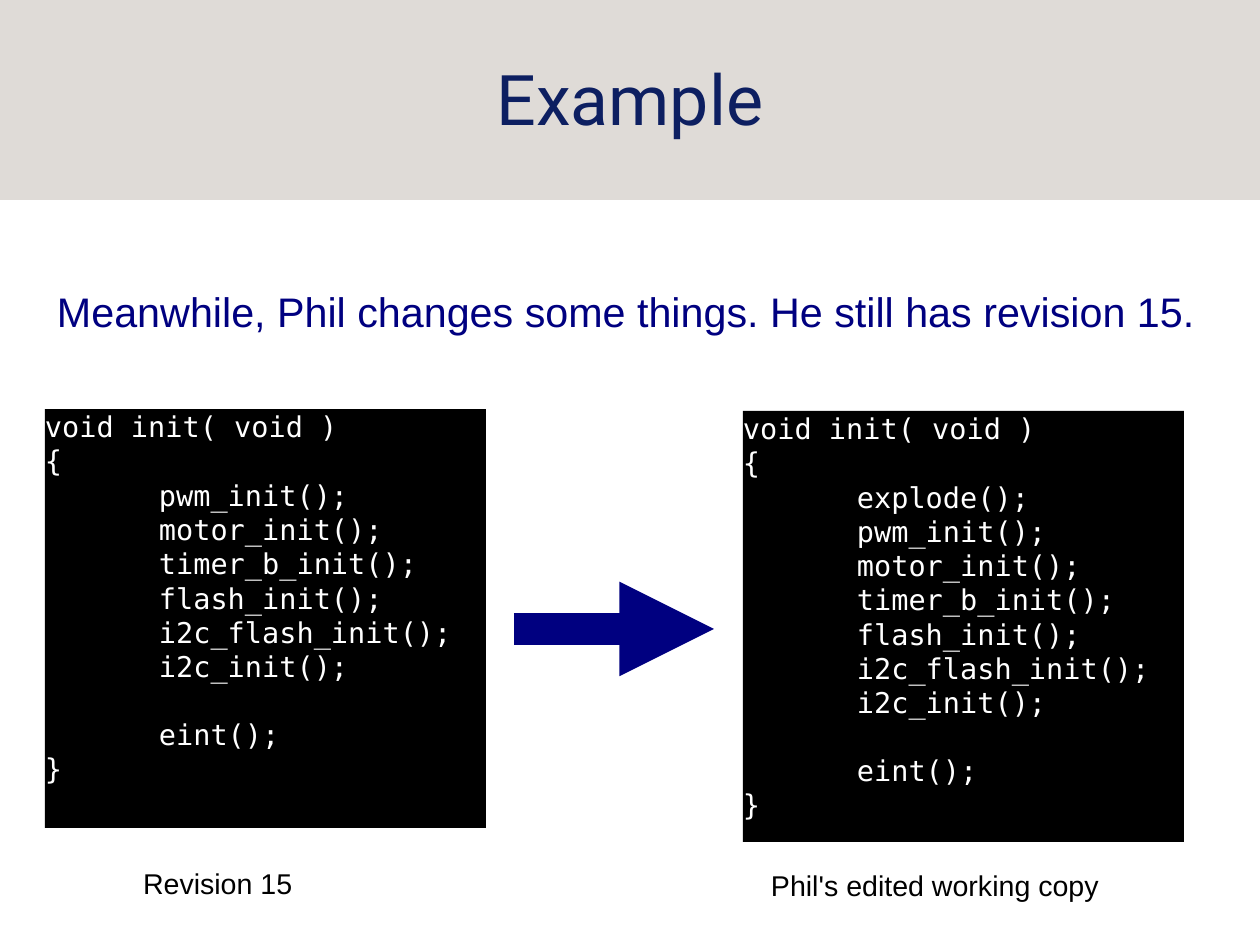
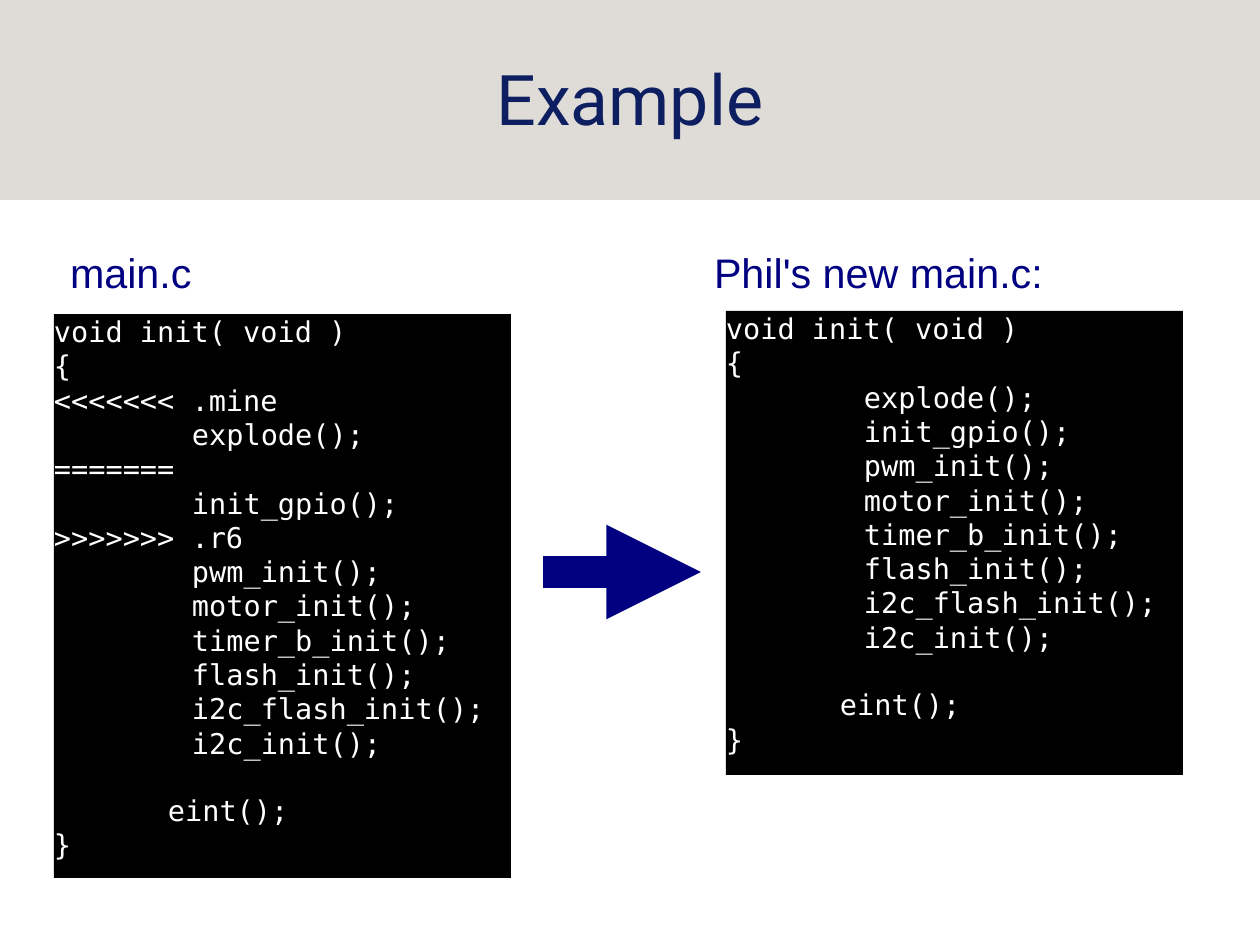
from pptx import Presentation
from pptx.dml.color import RGBColor
from pptx.enum.shapes import MSO_CONNECTOR, MSO_SHAPE
from pptx.enum.text import MSO_ANCHOR, MSO_AUTO_SIZE, PP_ALIGN
from pptx.oxml.ns import qn
from pptx.util import Pt
from lxml import etree

RECTANGLE = MSO_SHAPE.RECTANGLE
STRAIGHT = MSO_CONNECTOR.STRAIGHT
TOP, MIDDLE = MSO_ANCHOR.TOP, MSO_ANCHOR.MIDDLE
LEFT, CENTER = PP_ALIGN.LEFT, PP_ALIGN.CENTER
NO_AUTOFIT = MSO_AUTO_SIZE.NONE

EMU_PER_PX = 8000
SLIDE_WIDTH, SLIDE_HEIGHT = 1260, 945
BAND_HEIGHT = 200
TITLE_BOX = (63, 0, 1134, 195)
TITLE_ONLY = 5

BAND_GREY = RGBColor(0xDF, 0xDB, 0xD7)
TITLE_BLUE = RGBColor(0x0D, 0x1F, 0x61)
NAVY = RGBColor(0x00, 0x00, 0x80)
BLACK = RGBColor(0x00, 0x00, 0x00)
WHITE = RGBColor(0xFF, 0xFF, 0xFF)

TITLE_FONT, TEXT_FONT, CODE_FONT = "Roboto", "Arial", "DejaVu Sans Mono"
TITLE_SIZE, HEADING_SIZE, BODY_SIZE = 44, 26, 18
ARROW_WIDTH = 19.84
CODE_LINE_GAP = 21
TAB_INDENT = 114
SPACES_INDENT = 138

INIT_CALLS = [
    "pwm_init();",
    "motor_init();",
    "timer_b_init();",
    "flash_init();",
    "i2c_flash_init();",
    "i2c_init();",
]


def px(length):
    return length * EMU_PER_PX


def scaled(box):
    return [px(length) for length in box]


def prepare_frame(shape, anchor=TOP):
    """Give the text frame no margins and return it."""
    frame = shape.text_frame
    frame.margin_left = frame.margin_top = 0
    frame.margin_right = frame.margin_bottom = 0
    frame.word_wrap = True
    frame.auto_size = NO_AUTOFIT
    frame.vertical_anchor = anchor
    return frame


def add_run(paragraph, text, font_name, size, color, alignment=LEFT):
    paragraph.alignment = alignment
    run = paragraph.add_run()
    run.text = text
    run.font.name = font_name
    run.font.size = Pt(size)
    run.font.color.rgb = color


def add_rectangle(slide, box, color):
    shape = slide.shapes.add_shape(RECTANGLE, *scaled(box))
    shape.shadow.inherit = False
    shape.fill.solid()
    shape.fill.fore_color.rgb = color
    shape.line.fill.background()
    return shape


def add_band_to_layout(slide):
    """Draw the title band once, behind everything on the slide's layout."""
    band = add_rectangle(slide, (0, 0, SLIDE_WIDTH, BAND_HEIGHT), BAND_GREY)
    slide.slide_layout.shapes._spTree.insert(2, band._element)


def add_titled_slide(presentation, title):
    slide = presentation.slides.add_slide(presentation.slide_layouts[TITLE_ONLY])
    shape = slide.shapes.title
    shape.left, shape.top, shape.width, shape.height = scaled(TITLE_BOX)
    paragraph = prepare_frame(shape, MIDDLE).paragraphs[0]
    add_run(paragraph, title, TITLE_FONT, TITLE_SIZE, TITLE_BLUE, CENTER)
    return slide


def add_label(slide, box, text, size, color):
    shape = slide.shapes.add_textbox(*scaled(box))
    paragraph = prepare_frame(shape).paragraphs[0]
    add_run(paragraph, text, TEXT_FONT, size, color)


def add_heading(slide, left, top, width, text):
    add_label(slide, (left, top, width, 52), text, HEADING_SIZE, NAVY)


def add_caption(slide, left, top, text):
    add_label(slide, (left, top, 400, 36), text, BODY_SIZE, BLACK)


def add_code_panel(slide, box, body, indent):
    """Show init() with the given body; calls are indented, markers are not."""
    frame = prepare_frame(add_rectangle(slide, box, BLACK))
    lines = [("void init( void )", 0), ("{", 0)]
    lines += [(line, indent if line.endswith(";") else 0) for line in body]
    lines += [("eint();", TAB_INDENT), ("}", 0)]
    for index, (line, margin) in enumerate(lines):
        paragraph = frame.add_paragraph() if index else frame.paragraphs[0]
        add_run(paragraph, line, CODE_FONT, BODY_SIZE, WHITE)
        paragraph._p.get_or_add_pPr().set("marL", str(px(margin)))
        if line == "eint();":
            paragraph.space_before = Pt(CODE_LINE_GAP)


def add_arrow(slide, left, right, y):
    arrow = slide.shapes.add_connector(STRAIGHT, *scaled((left, y, right, y)))
    arrow.line.color.rgb = NAVY
    arrow.line.width = Pt(ARROW_WIDTH)
    etree.SubElement(arrow.line._get_or_add_ln(), qn("a:tailEnd"), type="triangle")
    etree.SubElement(arrow._element.spPr, qn("a:effectLst"))


def build_edit_slide(presentation):
    slide = add_titled_slide(presentation, "Example")
    add_heading(slide, 57, 286, 1180,
                "Meanwhile, Phil changes some things. He still has revision 15.")
    add_code_panel(slide, (45, 409, 441, 419), INIT_CALLS, TAB_INDENT)
    add_code_panel(slide, (743, 411, 441, 431), ["explode();"] + INIT_CALLS, TAB_INDENT)
    add_arrow(slide, 514, 714, 629)
    add_caption(slide, 143, 866, "Revision 15")
    add_caption(slide, 771, 868, "Phil's edited working copy")
    return slide


def build_merge_slide(presentation):
    slide = add_titled_slide(presentation, "Example")
    conflict = ["<<<<<<< .mine", "explode();", "=======", "init_gpio();", ">>>>>>> .r6"]
    resolved = ["explode();", "init_gpio();"]
    add_heading(slide, 70, 247, 400, "main.c")
    add_code_panel(slide, (54, 314, 457, 564), conflict + INIT_CALLS, SPACES_INDENT)
    add_arrow(slide, 543, 701, 572)
    add_heading(slide, 714, 247, 400, "Phil's new main.c:")
    add_code_panel(slide, (726, 311, 457, 464), resolved + INIT_CALLS, SPACES_INDENT)


def main():
    presentation = Presentation()
    presentation.slide_width = px(SLIDE_WIDTH)
    presentation.slide_height = px(SLIDE_HEIGHT)
    add_band_to_layout(build_edit_slide(presentation))
    build_merge_slide(presentation)
    presentation.save("out.pptx")


if __name__ == "__main__":
    main()
